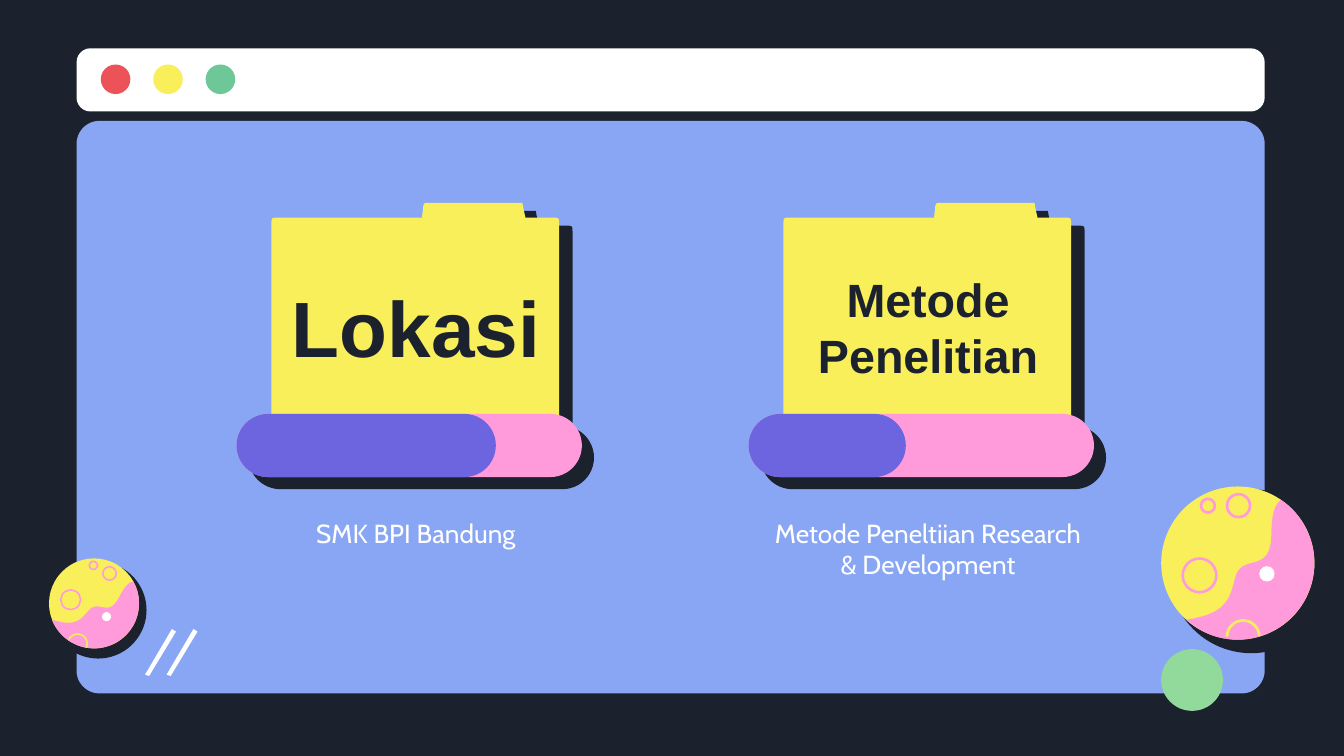
from math import cos, sin, radians
from pptx import Presentation
from pptx.dml.color import RGBColor
from pptx.enum.shapes import MSO_SHAPE
from pptx.enum.text import MSO_ANCHOR, MSO_AUTO_SIZE, PP_ALIGN
from pptx.util import Inches, Pt

NAVY = RGBColor(0x1B, 0x22, 0x2D)
BLUE = RGBColor(0x88, 0xA6, 0xF3)
WHITE = RGBColor(0xFF, 0xFF, 0xFF)
RED = RGBColor(0xEB, 0x53, 0x58)
YELLOW = RGBColor(0xF8, 0xEF, 0x5B)
GREEN = RGBColor(0x6D, 0xC7, 0x97)
MINT = RGBColor(0x92, 0xD9, 0x9C)
PINK = RGBColor(0xFF, 0x9B, 0xDA)
PURPLE = RGBColor(0x6D, 0x65, 0xE0)


def paint(shape, fill=None, line=None, width=1):
    shape.shadow.inherit = False
    if fill is None:
        shape.fill.background()
    else:
        shape.fill.solid()
        shape.fill.fore_color.rgb = fill
    if line is None:
        shape.line.fill.background()
    else:
        shape.line.color.rgb = line
        shape.line.width = Pt(width)


def panel(slide, left, top, width, height, fill, round=0.5):
    shape = slide.shapes.add_shape(MSO_SHAPE.ROUNDED_RECTANGLE, Inches(left), Inches(top),
                                   Inches(width), Inches(height))
    shape.adjustments[0] = round
    paint(shape, fill)


def disc(slide, x, y, radius, **look):
    size = Inches(2 * radius)
    shape = slide.shapes.add_shape(MSO_SHAPE.OVAL, Inches(x - radius), Inches(y - radius),
                                   size, size)
    paint(shape, **look)


def outline(slide, points, close=True, **look):
    spots = [(Inches(x), Inches(y)) for x, y in points]
    pen = slide.shapes.build_freeform(*spots[0], scale=1.0)
    pen.add_line_segments(spots[1:], close=close)
    paint(pen.convert_to_shape(), **look)


def curve(a, b, c, d, steps=12):
    ts = [i / steps for i in range(steps + 1)]
    return [tuple((1 - t) ** 3 * p + 3 * t * (1 - t) ** 2 * q + 3 * t * t * (1 - t) * r + t ** 3 * s
                  for p, q, r, s in zip(a, b, c, d)) for t in ts]


def bend(a, corner, b):
    return curve(a, corner, corner, b, 6)


def arc(x, y, radius, start, end, steps=48):
    turns = [radians(start + (end - start) * i / steps) for i in range(steps + 1)]
    return [(x + radius * cos(t), y + radius * sin(t)) for t in turns]


def write(shape, text, font="Arial", size=14, color=NAVY, bold=False,
          anchor=MSO_ANCHOR.TOP, after=0):
    frame = shape.text_frame
    frame.word_wrap = True
    frame.auto_size = MSO_AUTO_SIZE.NONE
    frame.vertical_anchor = anchor
    frame.margin_left = frame.margin_right = Inches(0.1)
    frame.margin_top = frame.margin_bottom = Inches(0.1)
    para = frame.paragraphs[0]
    para.text = text
    para.alignment = PP_ALIGN.CENTER
    para.line_spacing = 1.0
    para.space_before = Pt(0)
    para.space_after = Pt(after)
    face = para.font
    face.name, face.size, face.bold = font, Pt(size), bold
    face.color.rgb = color


def window(slide, left, top, width):
    panel(slide, left, top + 0.54, width, 4.26, BLUE, 0.04)
    panel(slide, left, top, width, 0.47, WHITE, 0.22)
    for i, color in enumerate((RED, YELLOW, GREEN)):
        disc(slide, left + 0.29 + i * 0.39, top + 0.23, 0.11, fill=color)


def planet(slide, x, y, size, shade, turn=0):
    radius = size / 2

    def place(points):
        c, s = cos(radians(turn)), sin(radians(turn))
        return [(x + radius * (px * c - py * s), y + radius * (px * s + py * c))
                for px, py in points]

    width = radius * 2.5
    dx, dy, dark = shade
    disc(slide, x + dx, y + dy, dark, fill=NAVY)
    disc(slide, x, y, radius, fill=YELLOW)
    for px, py, ring in ((-0.5, 0.16, 0.22), (0.01, -0.75, 0.15), (-0.39, -0.75, 0.09)):
        [(cx, cy)] = place([(px, py)])
        disc(slide, cx, cy, ring * radius, line=PINK, width=width)
    shore = (curve((-0.67, 0.74), (-0.25, 0.67), (-0.11, 0.56), (-0.04, 0.21))
             + curve((-0.04, 0.21), (0.04, -0.16), (0.44, 0.18), (0.44, -0.39))
             + curve((0.44, -0.39), (0.44, -0.65), (0.49, -0.77), (0.56, -0.82)))
    outline(slide, place(arc(0, 0, 1, -55.7, 132) + shore), fill=PINK)
    outline(slide, place(arc(0.07, 0.96, 0.21, 180, 358)), close=False, line=YELLOW, width=width)
    [(cx, cy)] = place([(0.38, 0.14)])
    disc(slide, cx, cy, radius * 0.1, fill=WHITE)


def strokes(slide, left, top):
    for x in (left, left + 0.16):
        outline(slide, [(x + 0.19, top), (x + 0.22, top + 0.02),
                        (x + 0.02, top + 0.35), (x - 0.01, top + 0.34)], fill=WHITE)


def folder(slide, left, top):
    points = ([(2.14, 1.63), (0, 1.63)]
              + bend((0, 0.16), (0, 0.11), (0.05, 0.11)) + [(1.12, 0.11)]
              + bend((1.13, 0.02), (1.14, 0), (1.16, 0))
              + bend((1.85, 0), (1.87, 0), (1.87, 0.02)) + [(1.89, 0.11)]
              + bend((2.09, 0.11), (2.14, 0.11), (2.14, 0.16)))
    for dx, dy, color in ((0.1, 0.06, NAVY), (0, 0, YELLOW)):
        outline(slide, [(left + dx + x, top + dy + y) for x, y in points], fill=color)


def card(slide, left, top, head, size, note, done, title=None):
    folder(slide, left + 0.26, top)
    box = [Inches(v) for v in (left + 0.28, top + 0.38, 2.11, 1.08)]
    if title is None:
        title = slide.shapes.add_textbox(*box)
    else:
        title.left, title.top, title.width, title.height = box
        title.element.getparent().append(title.element)
    write(title, head, size=size, bold=True, anchor=MSO_ANCHOR.MIDDLE)
    text = slide.shapes.add_textbox(Inches(left + 0.02), Inches(top + 2.24),
                                    Inches(2.63), Inches(0.67))
    write(text, note, font="Cabin", color=WHITE, after=16)
    for shift, width, color in ((0.09, 2.57, NAVY), (0, 2.57, PINK), (0, done, PURPLE)):
        panel(slide, left + shift, top + 1.57 + shift, width, 0.47, color)


def main():
    deck = Presentation()
    deck.slide_width = Inches(10)
    deck.slide_height = deck.slide_width * 9 // 16
    slide = deck.slides.add_slide(deck.slide_layouts[5])
    slide.background.fill.solid()
    slide.background.fill.fore_color.rgb = NAVY
    window(slide, 0.57, 0.36, 8.84)
    planet(slide, 9.21, 4.19, 1.14, (0.1, 0.06, 0.61))
    planet(slide, 0.7, 4.49, 0.67, (0.03, 0.05, 0.36), turn=26.5)
    strokes(slide, 1.09, 4.68)
    disc(slide, 8.87, 5.06, 0.23, fill=MINT)
    card(slide, 1.76, 1.51, "Lokasi", 42, "SMK BPI Bandung", 1.93, slide.shapes.title)
    card(slide, 5.57, 1.51, "Metode Penelitian", 25,
         "Metode Peneltiian Research & Development", 1.17)
    deck.save("out.pptx")


if __name__ == "__main__":
    main()
